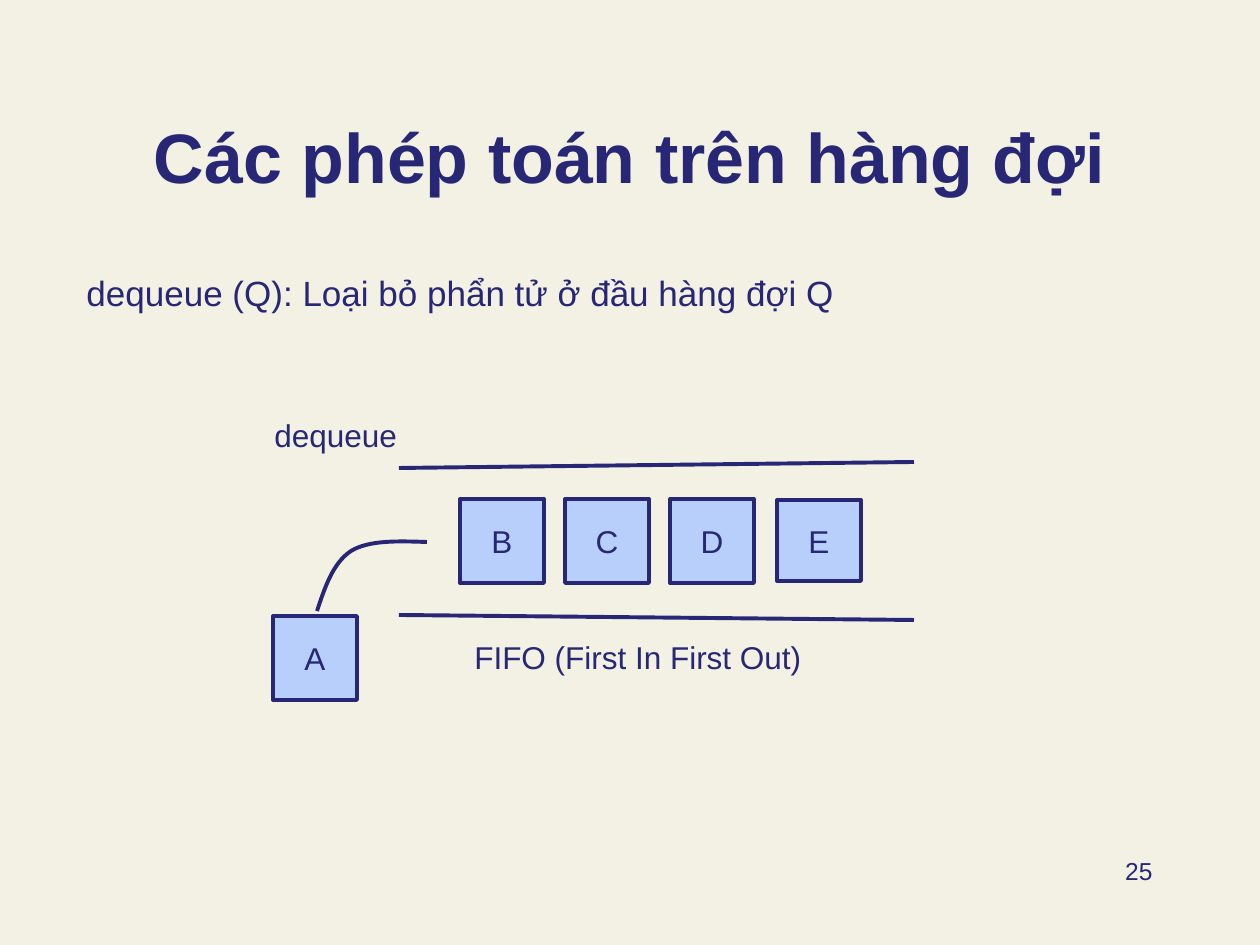
from lxml.etree import SubElement
from pptx import Presentation
from pptx.dml.color import RGBColor
from pptx.enum.shapes import MSO_CONNECTOR, MSO_SHAPE
from pptx.enum.text import MSO_ANCHOR, MSO_AUTO_SIZE, PP_ALIGN
from pptx.oxml.ns import qn
from pptx.util import Pt

PX = 914400 / 126
FONT = "Arial"
NAVY = RGBColor(0x27, 0x27, 0x76)
SKY = RGBColor(0xB8, 0xCF, 0xFB)
CREAM = RGBColor(0xF3, 0xF1, 0xE4)


def px(*lengths):
    """Turn pixel lengths into EMU."""
    return [round(length * PX) for length in lengths]


def write(shape, text, size, align=PP_ALIGN.LEFT, anchor=MSO_ANCHOR.TOP, bold=False):
    """Put one formatted run of text into a shape."""
    frame = shape.text_frame
    frame.word_wrap = True
    frame.auto_size = MSO_AUTO_SIZE.NONE
    frame.vertical_anchor = anchor
    para = frame.paragraphs[0]
    para.alignment = align
    span = para.add_run()
    span.text = text
    span.font.name = FONT
    span.font.size = Pt(size)
    span.font.bold = bold
    span.font.color.rgb = NAVY


def outline(shape):
    """Give a shape or connector the navy line of the diagram."""
    shape.line.color.rgb = NAVY
    shape.line.width = Pt(2.25)


def add_title(page, text):
    """Place and fill the title placeholder."""
    title = page.shapes.title
    title.left, title.top, title.width, title.height = px(94, 68, 1071, 136)
    write(title, text, 40, PP_ALIGN.CENTER, MSO_ANCHOR.BOTTOM, True)


def add_label(page, text, bounds, size=18, align=PP_ALIGN.LEFT):
    """Add a text box."""
    write(page.shapes.add_textbox(*px(*bounds)), text, size, align)


def add_item(page, letter, left, top, height=84):
    """Add one element of the queue."""
    box = page.shapes.add_shape(MSO_SHAPE.RECTANGLE, *px(left, top, 84, height))
    box.shadow.inherit = False
    box.fill.solid()
    box.fill.fore_color.rgb = SKY
    outline(box)
    write(box, letter, 18, PP_ALIGN.CENTER, MSO_ANCHOR.MIDDLE)


def add_rail(page, start_y, end_y):
    """Add one of the two lines that bound the queue."""
    rail = page.shapes.add_connector(
        MSO_CONNECTOR.STRAIGHT, *px(399, start_y, 914, end_y))
    outline(rail)
    SubElement(rail.element.spPr, qn("a:effectLst"))


def add_curve(page, start, controls):
    """Add an open Bezier curve, with three control points to a segment."""
    builder = page.shapes.build_freeform(*start, scale=PX)
    builder.add_line_segments(controls, close=False)
    curve = builder.convert_to_shape()
    curve.shadow.inherit = False
    curve.fill.background()
    outline(curve)
    steps = list(curve.element.iter(qn("a:lnTo")))
    track = steps[0].getparent()
    for first in range(0, len(steps), 3):
        bend = SubElement(track, qn("a:cubicBezTo"))
        for step in steps[first:first + 3]:
            bend.append(step[0])
            track.remove(step)


def main():
    """Build the slide and save it."""
    deck = Presentation()
    deck.slide_width, deck.slide_height = px(1260, 945)
    page = deck.slides.add_slide(deck.slide_layouts[5])
    page.background.fill.solid()
    page.background.fill.fore_color.rgb = CREAM

    add_title(page, "Các phép toán trên hàng đợi")
    add_label(page, "dequeue (Q): Loại bỏ phẩn tử ở đầu hàng đợi Q",
              (74, 265, 1101, 93), 20)
    add_label(page, "25", (903, 850, 262, 63), 14, PP_ALIGN.RIGHT)

    for index, letter in enumerate("BCD"):
        add_item(page, letter, 460 + 105 * index, 499)
    add_item(page, "A", 273, 616)
    add_item(page, "E", 777, 500, 81)

    add_rail(page, 468, 462)
    add_rail(page, 615, 620)
    add_curve(page, (427, 542), [(398, 541), (369, 540), (351, 551),
                                 (333, 563), (325, 587), (317, 611)])

    add_label(page, "dequeue", (262, 410, 149, 50))
    add_label(page, "FIFO (First In First Out)", (462, 632, 355, 50))
    deck.save("out.pptx")


if __name__ == "__main__":
    main()
